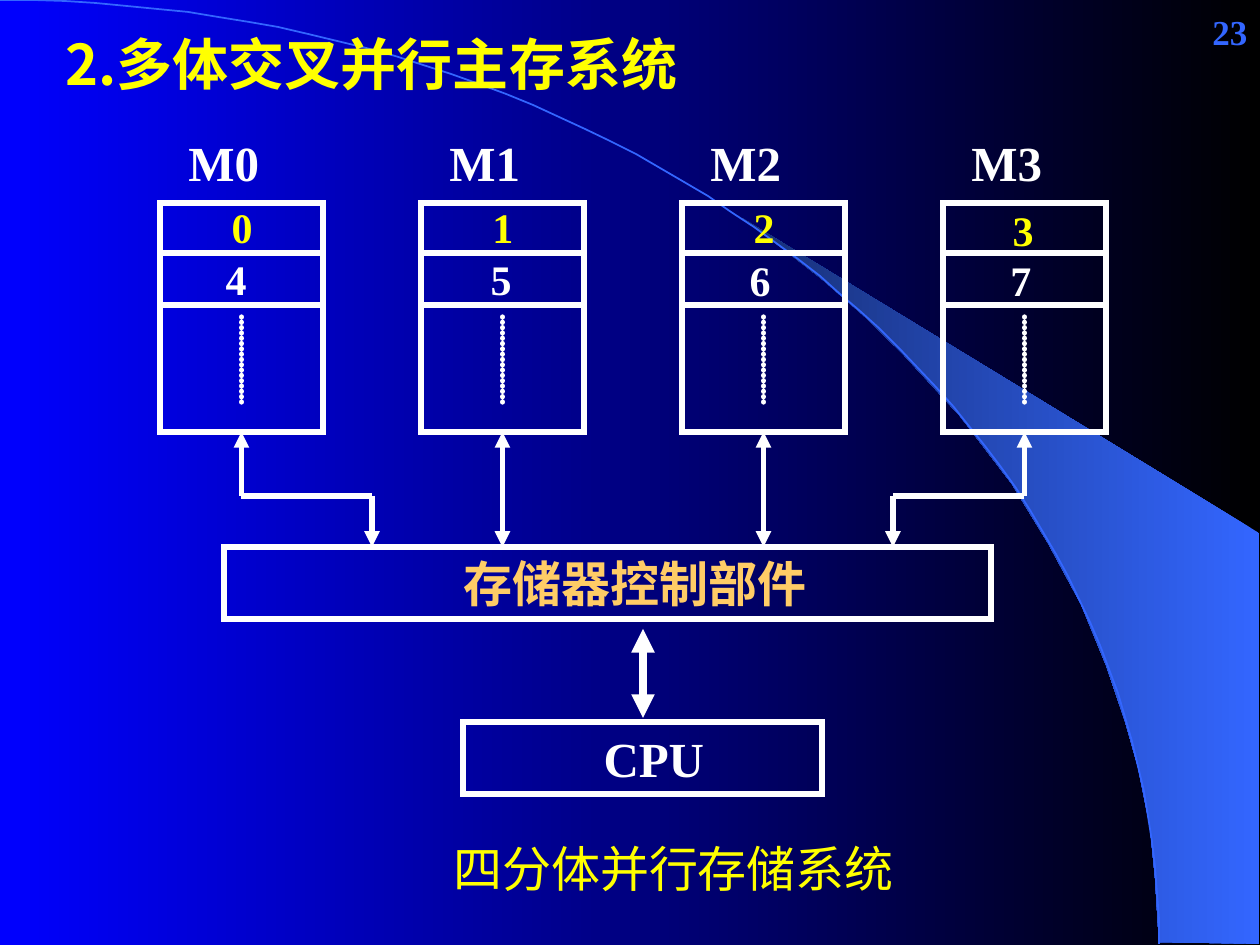
from lxml.etree import SubElement
from pptx import Presentation
from pptx.dml.color import RGBColor
from pptx.enum.dml import MSO_THEME_COLOR
from pptx.enum.shapes import MSO_CONNECTOR, MSO_SHAPE
from pptx.enum.text import MSO_ANCHOR, MSO_AUTO_SIZE, PP_ALIGN
from pptx.oxml.ns import qn
from pptx.util import Emu, Pt

WHITE = RGBColor(255, 255, 255)
BLACK = RGBColor(0, 0, 0)
BLUE = RGBColor(0, 0, 255)
SKY = RGBColor(0x33, 0x66, 0xFF)
NAVY = RGBColor(0x17, 0x2F, 0x75)
YELLOW = RGBColor(255, 255, 0)
ORANGE = RGBColor(0xFF, 0xCC, 0x66)
SERIF = "Times New Roman"

# Content: bank name, its two addresses as (text, centre x, top), landing x on the controller
TITLE = "2.多体交叉并行主存系统"
CAPTION = "四分体并行存储系统"
CONTROLLER = "存储器控制部件"
BANKS = [
    ("M0", ("0", 242, 195), ("4", 236, 247), 372),
    ("M1", ("1", 503, 195), ("5", 501, 247), None),
    ("M2", ("2", 764, 195), ("6", 760, 248), None),
    ("M3", ("3", 1023, 198), ("7", 1021, 248), 893),
]
BEAM = [(1159, 942), (1259, 944), (1259, 533), (742, 218), (786, 251), (823, 280),
        (863, 315), (902, 353), (960, 416), (1012, 484), (1048, 543), (1081, 604),
        (1106, 665), (1125, 721), (1138, 767), (1150, 827), (1155, 877)]
ARC = [(0, 0), (640, 0), (1159, 422), (1159, 944)]  # Bezier control points

# Layout in px
BANK_LEFT, BANK_TOP, BANK_W, BANK_H, BANK_PITCH = 160, 203, 163, 229, 261
ROW_LINES = (253, 305)
BEND_Y, CONTROLLER_TOP = 496, 547


def px(n):
    return Emu(round(n * 914400 / 126))


prs = Presentation()
prs.slide_width, prs.slide_height = px(1260), px(945)
slide = prs.slides.add_slide(prs.slide_layouts[5])
shapes = slide.shapes


def gradient(fill, first, last):
    fill.gradient()
    fill.gradient_angle = 180
    for stop, color, position in zip(fill.gradient_stops, (first, last), (0, 1)):
        stop.color.rgb = color
        stop.position = position


def write(shape, text, size, color, font=SERIF, bold=True, align=PP_ALIGN.LEFT,
          anchor=MSO_ANCHOR.TOP, wrap=True):
    frame = shape.text_frame
    frame.text = text
    frame.word_wrap = wrap
    frame.auto_size = MSO_AUTO_SIZE.NONE
    frame.vertical_anchor = anchor
    paragraph = frame.paragraphs[0]
    paragraph.alignment = align
    style = paragraph.runs[0].font
    style.name, style.size, style.bold = font, Pt(size), bold
    style.color.rgb = color


def label(x, y, w, h, *args, **style):
    write(shapes.add_textbox(px(x), px(y), px(w), px(h)), *args, **style)


def frame_box(x, y, w, h):
    box = shapes.add_shape(MSO_SHAPE.RECTANGLE, px(x), px(y), px(w), px(h))
    box.shadow.inherit = False
    box.fill.background()
    box.line.color.rgb = WHITE
    box.line.width = Pt(3)
    SubElement(box.line._get_or_add_ln(), qn("a:miter"), lim="800000")
    return box


def stroke(start, end, width=3, head=False, tail=False, dotted=False):
    line = shapes.add_connector(MSO_CONNECTOR.STRAIGHT, *map(px, start + end))
    SubElement(line._element.spPr, qn("a:effectLst"))
    line.line.color.rgb = WHITE
    line.line.width = Pt(width)
    ln = line.line._get_or_add_ln()
    if dotted:
        ln.set("cap", "rnd")
        dash = SubElement(ln, qn("a:custDash"))
        SubElement(dash, qn("a:ds"), d="1000", sp="100000")
    for wanted, tag in ((head, "a:headEnd"), (tail, "a:tailEnd")):
        if wanted:
            SubElement(ln, qn(tag), type="triangle")
    return line


def outline(points, close):
    builder = shapes.build_freeform(*points[0], scale=914400 / 126)
    builder.add_line_segments(points[1:], close=close)
    shape = builder.convert_to_shape()
    shape.shadow.inherit = False
    return shape


def bezier(controls, steps=60):
    for i in range(steps + 1):
        t = i / steps
        weights = ((1 - t) ** 3, 3 * t * (1 - t) ** 2, 3 * t * t * (1 - t), t ** 3)
        yield tuple(sum(w * p[axis] for w, p in zip(weights, controls)) for axis in (0, 1))


# Background, light beam and arc
gradient(slide.background.fill, BLACK, BLUE)
beam = outline(BEAM, True)
gradient(beam.fill, SKY, NAVY)
beam.line.fill.background()
arc = outline(list(bezier(ARC)), False)
arc.fill.background()
arc.line.color.rgb = SKY
arc.line.width = Pt(1)

# Memory banks and their links to the controller
for i, (name, first, second, landing) in enumerate(BANKS):
    left = BANK_LEFT + i * BANK_PITCH
    middle, bottom = left + BANK_W / 2, BANK_TOP + BANK_H
    bank = frame_box(left, BANK_TOP, BANK_W, BANK_H)
    for y in ROW_LINES:
        stroke((left, y), (left + BANK_W, y))
    stroke((middle, 317), (middle, 407), dotted=True)
    label(left + 16, 126, 228, 72, name, 28, WHITE)
    for (address, center, top), color in ((first, YELLOW), (second, WHITE)):
        label(center - 54, top, 108, 63, address, 24, color, align=PP_ALIGN.CENTER)
    if landing is None:
        link = stroke((middle, bottom), (middle, CONTROLLER_TOP), head=True, tail=True)
    else:
        link = stroke((middle, bottom), (middle, BEND_Y), head=True)
        stroke((middle, BEND_Y), (landing, BEND_Y))
        stroke((landing, BEND_Y), (landing, CONTROLLER_TOP), tail=True)
    link.begin_connect(bank, 2)

# Controller and CPU, each with its text set right of centre
for x, y, w, text, color, indent in (
        (224, CONTROLLER_TOP, 767, CONTROLLER, ORANGE, 54),
        (463, 722, 359, "CPU", WHITE, 22)):
    unit = frame_box(x, y, w, 72)
    write(unit, text, 28, color, align=PP_ALIGN.CENTER)
    unit.text_frame.margin_left = px(13 + indent)
stroke((643, 629), (643, 718), width=4.5, head=True, tail=True)

# Title, caption and page number
title = shapes.title
title.left, title.top, title.width, title.height = map(px, (53, 21, 1029, 84))
write(title, TITLE, 32, YELLOW, font="Noto Sans CJK SC", anchor=MSO_ANCHOR.MIDDLE)
title.element.getparent().append(title.element)  # in front of the arc
label(441, 832, 465, 72, CAPTION, 28, YELLOW, font="Arial", bold=False, wrap=False)
label(998, 0, 262, 63, "23", 20, SKY, align=PP_ALIGN.RIGHT, anchor=MSO_ANCHOR.MIDDLE)

prs.save("out.pptx")
